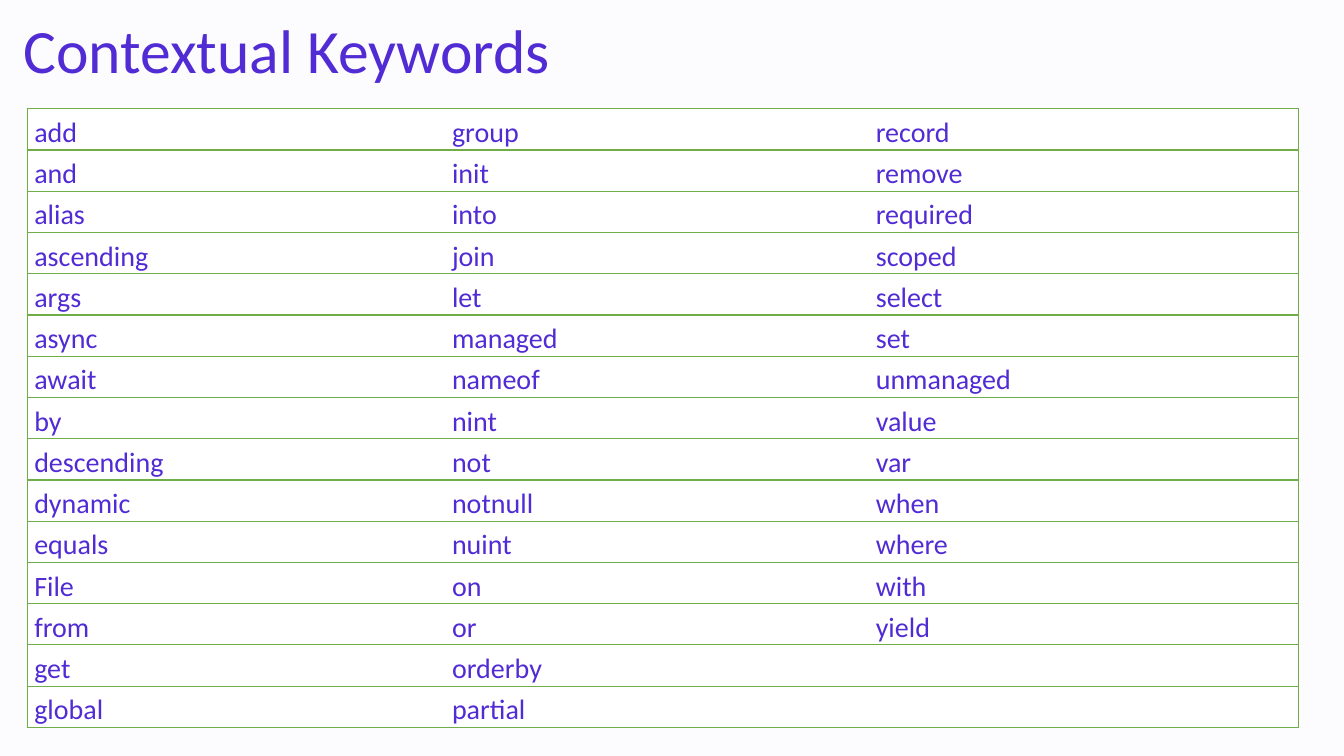
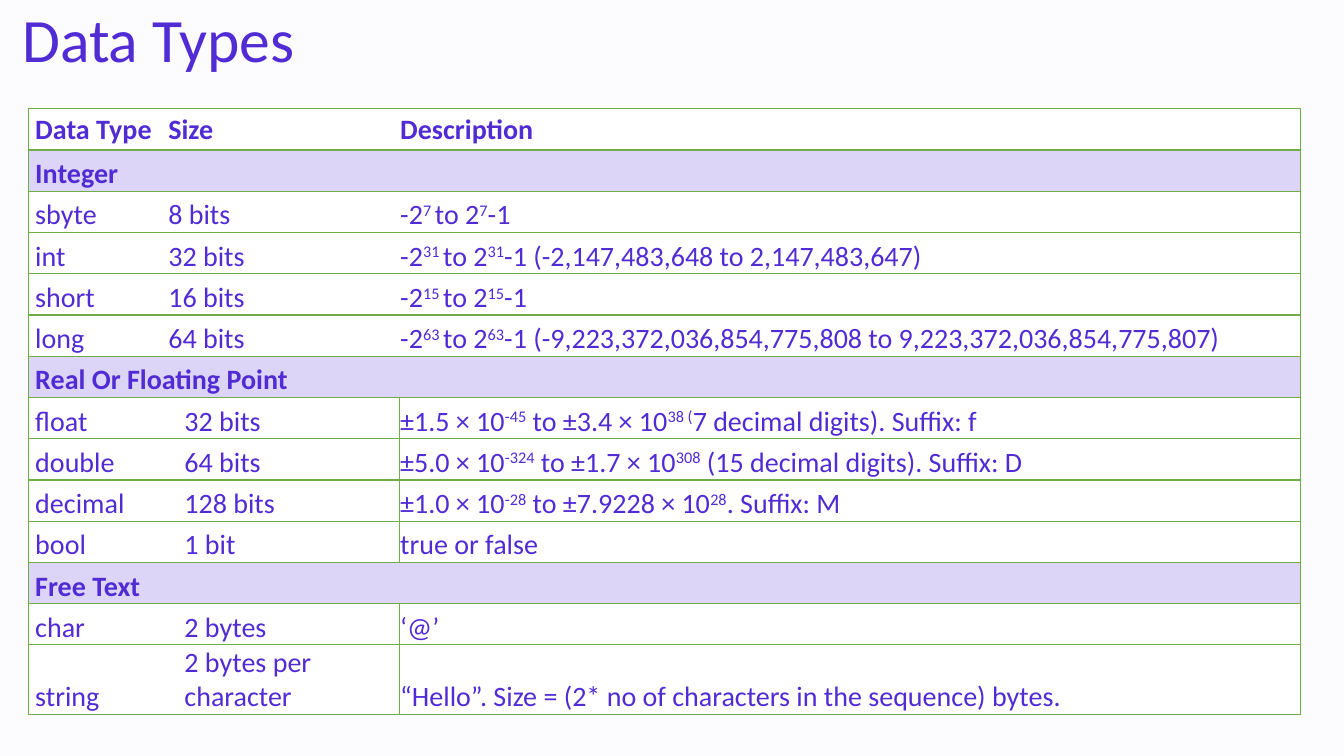
from itertools import zip_longest

from pptx import Presentation
from pptx.dml.color import RGBColor
from pptx.enum.text import MSO_ANCHOR, MSO_AUTO_SIZE, PP_ALIGN
from pptx.oxml import parse_xml
from pptx.oxml.ns import nsdecls
from pptx.util import Inches, Pt

COLORS = {
    "page": "FCFCFE",
    "text": "512BD4",
    "cell": "FFFFFF",
    "band": "DCD5F7",
    "border": "70AD47",
}
FONT = "Calibri"
TABLE_TOP = 1.08
ROW_HEIGHT = 6.14 / 15
TALL_ROW = 0.69

deck = Presentation()
deck.slide_width, deck.slide_height = Inches(13.33), Inches(7.5)
page_fill = deck.slide_master.background.fill
page_fill.solid()
page_fill.fore_color.rgb = RGBColor.from_string(COLORS["page"])
title_only = deck.slide_layouts[5]


def add_table_slide(title_text, title_left, title_top, table_left, widths, heights):
    """Add a titled slide and return its table, empty and without style flags."""
    page = deck.slides.add_slide(title_only)
    title = page.shapes.title
    title.left, title.top = Inches(title_left), Inches(title_top)
    title.width, title.height = Inches(12.77), Inches(0.51)
    frame = title.text_frame
    frame.text = title_text
    frame.auto_size = MSO_AUTO_SIZE.NONE
    frame.vertical_anchor = MSO_ANCHOR.MIDDLE
    para = frame.paragraphs[0]
    para.alignment, para.line_spacing = PP_ALIGN.LEFT, 0.9
    para.font.name, para.font.size = FONT, Pt(44)
    para.font.color.rgb = RGBColor.from_string(COLORS["text"])

    table = page.shapes.add_table(
        len(heights), len(widths), Inches(table_left), Inches(TABLE_TOP),
        Inches(sum(widths)), Inches(sum(heights))).table
    table.first_row = table.horz_banding = False
    for column, width in zip(table.columns, widths):
        column.width = Inches(width)
    for row, height in zip(table.rows, heights):
        row.height = Inches(height)
    return table


def fill_row(table, row, starts, texts, fill="cell", bold=False,
             anchor=MSO_ANCHOR.BOTTOM, divider=False):
    """Write texts into cells that begin at starts; ^ switches superscript on and off."""
    count = len(table.columns)
    for start, stop, text in zip(starts, starts[1:] + [count], texts):
        cell = table.cell(row, start)
        if stop - start > 1:
            cell.merge(table.cell(row, stop - 1))
        cell.vertical_anchor = anchor
        cell.margin_left = Inches(0.07 if start == 0 else 0.01)
        cell.margin_right = cell.margin_top = Inches(0.01)
        cell.margin_bottom = 0

        drawn = {"L": start == 0 or (divider and stop == count),
                 "R": stop == count or (divider and stop == count - 1),
                 "T": True, "B": True}
        properties = cell._tc.get_or_add_tcPr()
        for side, visible in drawn.items():
            paint = (f'<a:solidFill><a:srgbClr val="{COLORS["border"]}"/></a:solidFill>'
                     if visible else "<a:noFill/>")
            properties.append(parse_xml(
                f'<a:ln{side} {nsdecls("a")} w="{Pt(1)}">{paint}</a:ln{side}>'))
        cell.fill.solid()
        cell.fill.fore_color.rgb = RGBColor.from_string(COLORS[fill])

        para = cell.text_frame.paragraphs[0]
        for index, part in enumerate(text.split("^")):
            if not part:
                continue
            span = para.add_run()
            span.text = part
            span.font.name, span.font.size, span.font.bold = FONT, Pt(20), bold
            span.font.color.rgb = RGBColor.from_string(COLORS["text"])
            if index % 2:
                span.font._element.set("baseline", "30000")


# Contextual keywords, listed column by column
keyword_columns = [
    ["add", "and", "alias", "ascending", "args", "async", "await", "by",
     "descending", "dynamic", "equals", "File", "from", "get", "global"],
    ["group", "init", "into", "join", "let", "managed", "nameof", "nint",
     "not", "notnull", "nuint", "on", "or", "orderby", "partial"],
    ["record", "remove", "required", "scoped", "select", "set", "unmanaged",
     "value", "var", "when", "where", "with", "yield"],
]
keyword_rows = list(zip_longest(*keyword_columns, fillvalue=""))
keywords = add_table_slide("Contextual Keywords", 0.13, 0.28, 0.27,
                           [12.61 / 3] * 3, [ROW_HEIGHT] * len(keyword_rows))
for row, words in enumerate(keyword_rows):
    fill_row(keywords, row, [0, 1, 2], words)

# Data types, grouped under bands; the size column starts further right after integers
sections = [
    ("Integer", [0, 1, 3], [
        ("sbyte", "8 bits", "-2^7 ^to 2^7^-1"),
        ("int", "32 bits", "-2^31 ^to 2^31^-1 (-2,147,483,648 to 2,147,483,647)"),
        ("short", "16 bits", "-2^15 ^to 2^15^-1"),
        ("long", "64 bits", "-2^63 ^to 2^63^-1 "
         "(-9,223,372,036,854,775,808 to 9,223,372,036,854,775,807)"),
    ]),
    ("Real Or Floating Point", [0, 2, 3], [
        ("float", "32 bits", "±1.5 × 10^-45^ to ±3.4 × 10^38 (^7 decimal digits). Suffix: f"),
        ("double", "64 bits", "±5.0 × 10^-324^ to ±1.7 × 10^308^ (15 decimal digits). Suffix: D"),
        ("decimal", "128 bits", "±1.0 × 10^-28^ to ±7.9228 × 10^28^. Suffix: M"),
        ("bool", "1 bit", "true or false"),
    ]),
    ("Free Text", [0, 2, 3], [
        ("char", "2 bytes", "‘@’"),
        ("string", "2 bytes per character",
         "“Hello”. Size = (2* no of characters in the sequence) bytes."),
    ]),
]
row_count = 1 + sum(1 + len(entries) for _, _, entries in sections)
data_types = add_table_slide("Data Types", 0.12, 0.17, 0.28, [1.38, 0.16, 2.14, 8.94],
                             [ROW_HEIGHT] * (row_count - 1) + [TALL_ROW])
fill_row(data_types, 0, [0, 1, 3], ["Data Type", "Size", "Description"],
         bold=True, anchor=MSO_ANCHOR.MIDDLE)
row = 1
for heading, starts, entries in sections:
    fill_row(data_types, row, [0], [heading], fill="band", bold=True)
    for row, entry in enumerate(entries, row + 1):
        fill_row(data_types, row, starts, entry, divider=starts == [0, 2, 3])
    row += 1

deck.save("out.pptx")
